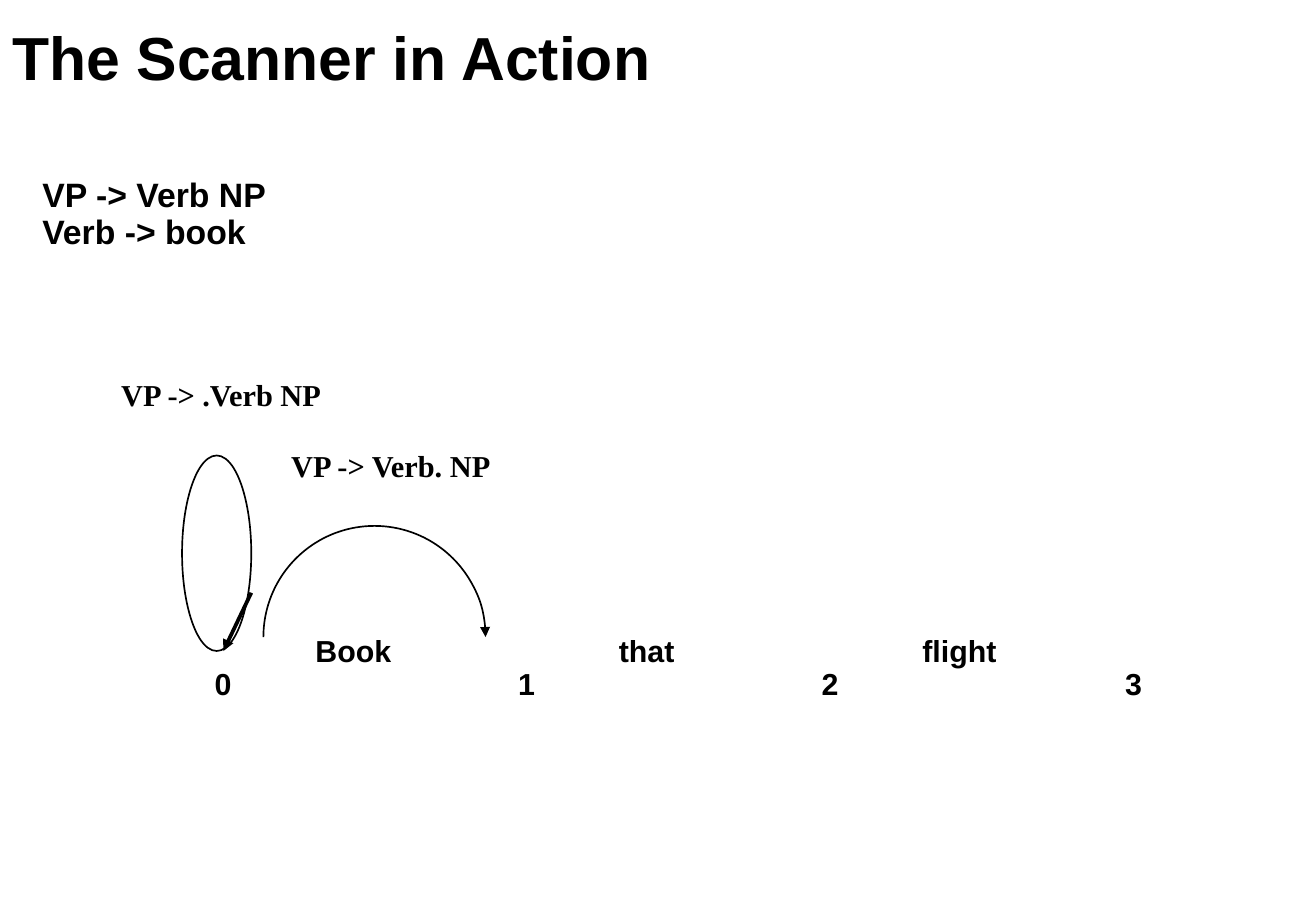
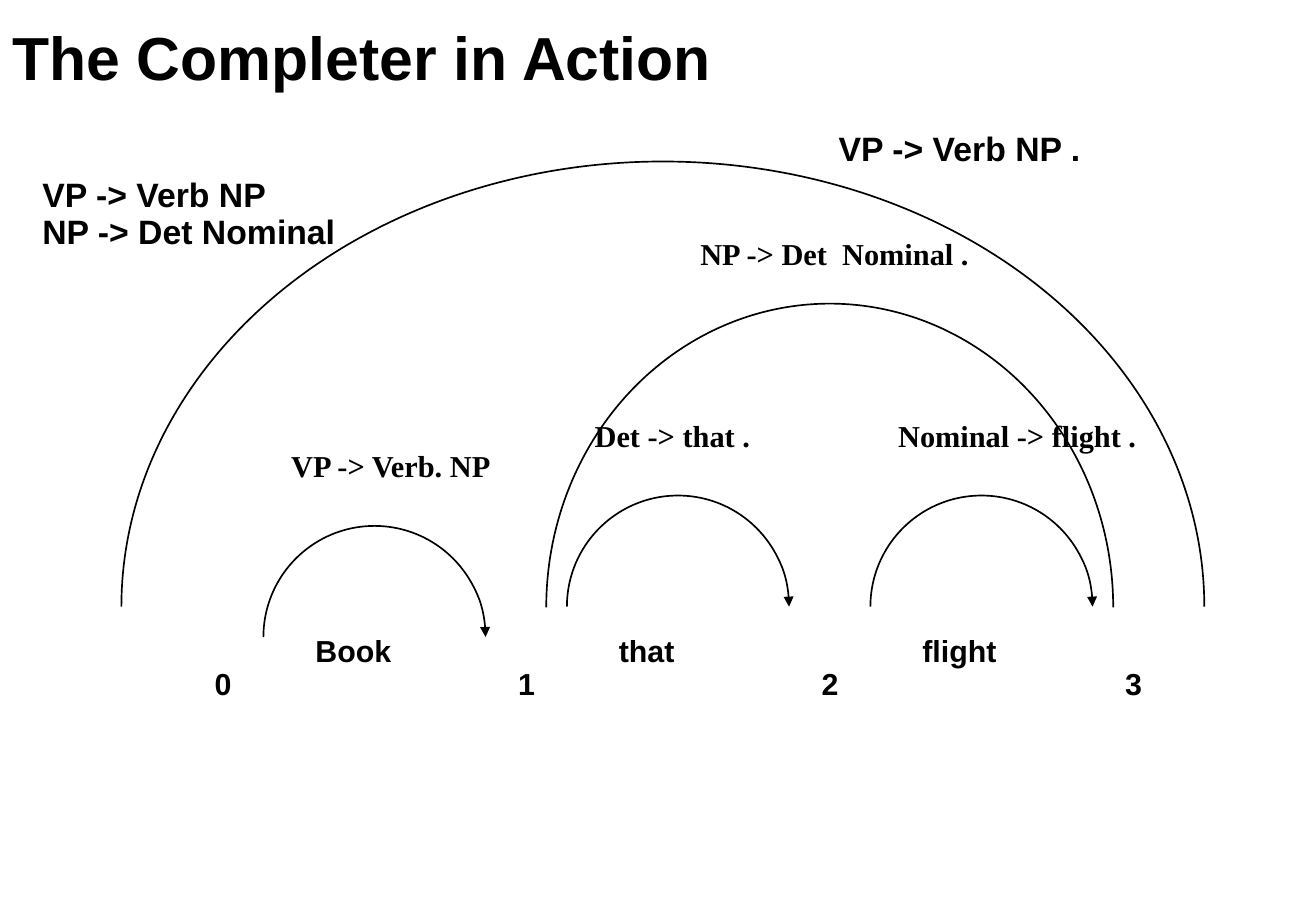
from pptx import Presentation
from pptx import util as u
from pptx.dml import color
from pptx.enum import shapes, text
from pptx.oxml import ns
from lxml import etree

COLORS = {"ink": "000000", "paper": "FFFFFF"}
SANS, SERIF = "Arial", "Times New Roman"
PITCH = 2.5
STEP_LEFT, STEP_SIZE = 2.17, 1.83
WORDS = ["Book", "that", "flight"]


class Deck:
    def __init__(self):
        self.deck = Presentation()
        self.deck.slide_width = u.Inches(10.84)
        self.deck.slide_height = u.Inches(7.5)
        self.page = None

    def rgb(self, name):
        return color.RGBColor.from_string(COLORS[name])

    def format_text(self, frame, size, font):
        frame.word_wrap = True
        frame.auto_size = text.MSO_AUTO_SIZE.NONE
        for para in frame.paragraphs:
            para.alignment = text.PP_ALIGN.LEFT
            para.line_spacing = 0.9
            for span in para.runs:
                span.font.name = font
                span.font.size = u.Pt(size)
                span.font.bold = True
                span.font.color.rgb = self.rgb("ink")

    def add_page(self, title, title_width):
        self.page = self.deck.slides.add_slide(self.deck.slide_layouts[5])
        box = self.page.shapes.title
        box.left, box.top = u.Inches(0), u.Inches(0)
        box.width, box.height = u.Inches(title_width), u.Inches(1)
        box.fill.solid()
        box.fill.fore_color.rgb = self.rgb("paper")
        box.text_frame.text = title
        box.text_frame.vertical_anchor = text.MSO_ANCHOR.MIDDLE
        self.format_text(box.text_frame, 36, SANS)

    def label(self, words, left, top, width, height=0.37, size=18, font=SERIF):
        box = self.page.shapes.add_textbox(
            u.Inches(left), u.Inches(top), u.Inches(width), u.Inches(height))
        box.text_frame.text = words
        self.format_text(box.text_frame, size, font)
        return box

    def grammar(self, *rules):
        self.label("\n".join(rules), 0.25, 1.42, 2.9, 0.7, 20, SANS)

    def sentence(self):
        positions = [str(index) for index in range(len(WORDS) + 1)]
        lines = "\t" + "\t".join(WORDS) + "\n" + "\t".join(positions)
        box = self.label(lines, 1.67, 5.19, 8, 0.64, font=SANS)
        for para, first in zip(box.text_frame.paragraphs, (0.83, PITCH)):
            stops = etree.SubElement(para._p.get_or_add_pPr(), ns.qn("a:tabLst"))
            for index in range(len(WORDS)):
                place = u.Inches(first + index * PITCH)
                etree.SubElement(stops, ns.qn("a:tab"), pos=str(place), algn="l")

    def outline(self, kind, left, top, width, height):
        shape = self.page.shapes.add_shape(
            kind, u.Inches(left), u.Inches(top), u.Inches(width), u.Inches(height))
        shape.shadow.inherit = False
        shape.fill.background()
        self.stroke(shape, 1)
        return shape

    def stroke(self, shape, width, arrow=False):
        shape.line.color.rgb = self.rgb("ink")
        shape.line.width = u.Pt(width)
        if arrow:
            line = shape.line._get_or_add_ln()
            etree.SubElement(line, ns.qn("a:tailEnd"), type="triangle")

    def arch(self, left, top, width, height, arrow=False):
        arc = self.outline(shapes.MSO_SHAPE.ARC, left, top, width, height)
        arc.adjustments[0] = 108
        arc.adjustments[1] = 0
        self.stroke(arc, 1, arrow)

    def step(self, index, top, rule, width):
        left = STEP_LEFT + index * PITCH
        self.arch(left, top, STEP_SIZE, STEP_SIZE, arrow=True)
        self.label(rule, left + 0.13, top - 0.66, width)

    def loop(self):
        self.outline(shapes.MSO_SHAPE.OVAL, 1.5, 3.75, 0.57, 1.61)
        arrow = self.page.shapes.add_connector(
            shapes.MSO_CONNECTOR.STRAIGHT,
            u.Inches(2.07), u.Inches(4.88), u.Inches(1.84), u.Inches(5.36))
        self.stroke(arrow, 2.25, arrow=True)
        etree.SubElement(arrow._element.spPr, ns.qn("a:effectLst"))


def scanner(deck):
    deck.add_page("The Scanner in Action", 5.92)
    deck.sentence()
    deck.grammar("VP -> Verb NP", "Verb -> book")
    deck.loop()
    deck.label("VP -> .Verb NP", 0.9, 3.08, 2)
    deck.step(0, 4.33, "VP -> Verb. NP", 2)


def completer(deck):
    deck.add_page("The Completer in Action", 6.67)
    deck.sentence()
    deck.grammar("VP -> Verb NP", "NP -> Det Nominal")
    deck.step(0, 4.33, "VP -> Verb. NP", 2)
    deck.step(1, 4.08, "Det -> that .", 1.6)
    deck.step(2, 4.08, "Nominal -> flight .", 2.3)
    deck.arch(4.5, 2.5, 4.67, 5)
    deck.label("NP -> Det  Nominal .", 5.67, 1.92, 2.6)
    deck.arch(1, 1.33, 8.92, 7.33)
    deck.label("VP -> Verb NP .", 6.81, 1.04, 2.4, 0.4, 20, SANS)


def main():
    deck = Deck()
    scanner(deck)
    completer(deck)
    deck.deck.save("out.pptx")


if __name__ == "__main__":
    main()
